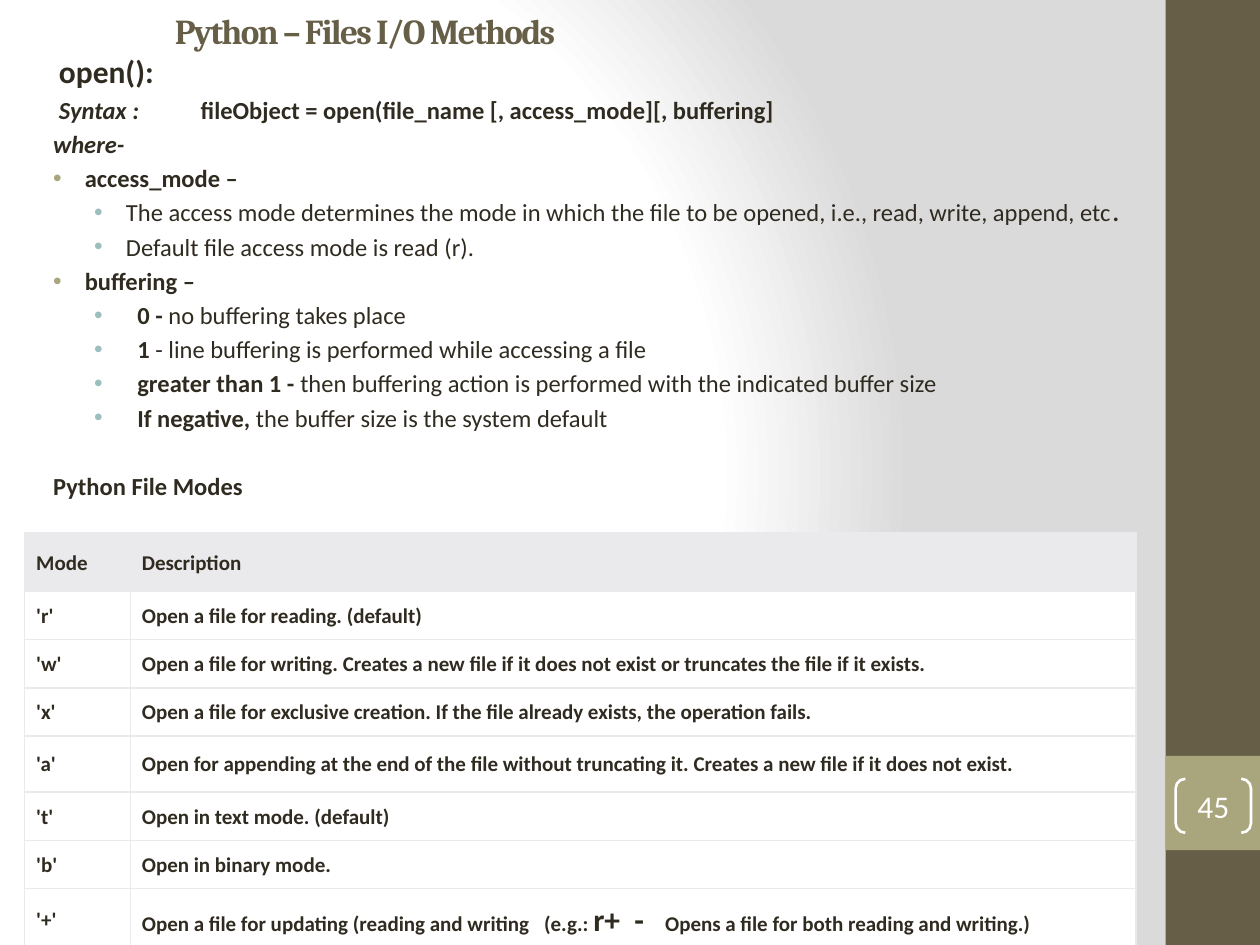
from pptx import Presentation
from pptx.dml.color import RGBColor
from pptx.enum import shapes, text
from pptx.oxml import parse_xml
from pptx.oxml.ns import nsdecls, qn
from pptx.util import Cm, Pt

DARK, OLIVE, TEAL, INK = "675E47", "A9A57C", "9CBEBD", "2F2B20"
WHITE, RULE = "FFFFFF", "EAEAEC"

TITLE = "Python – Files I/O Methods"

# kind of paragraph, then runs of (text, format)
B, I, N = {"bold": True}, {"bold": True, "italic": True}, {}
BODY = [
    ("lead", [("open():", {"bold": True, "size": 18})]),
    ("syntax", [("Syntax :", I), (" ", {"spacing": 32}),
                ("fileObject = open(file_name [, access_mode][, buffering]", B)]),
    ("plain", [("where-", I)]),
    ("item", [("access_mode –", B)]),
    ("sub", [("The access mode determines the mode in which the file to be opened, "
              "i.e., read, write, append, etc", N), (".", B)]),
    ("sub", [("Default file access mode is read (r).", N)]),
    ("item", [("buffering –", B)]),
    ("value", [("0 - ", B), ("no buffering takes place", N)]),
    ("value", [("1 ", B), ("- line buffering is performed while accessing a file", N)]),
    ("value", [("greater than 1 - ", B),
               ("then buffering action is performed with the indicated buffer size", N)]),
    ("value", [("If negative, ", B), ("the buffer size is the system default", N)]),
    ("heading", [("Python File Modes", B)]),
]

# left margin, first-line indent (cm), space before (pt), bullet colour
STYLES = {
    "lead": (0, 0.12, 0, None),
    "syntax": (0, 0.12, 2.75, None),
    "plain": (0, 0, 2.75, None),
    "item": (0.64, -0.64, 2.75, OLIVE),
    "sub": (1.47, -0.64, 2.75, TEAL),
    "value": (1.7, -0.87, 2.75, TEAL),
    "heading": (0, 0, 22.25, None),
}

# row height (cm), mode, description runs
BIG = {"bold": True, "size": 18}
MODES = [
    (1.19, "Mode", [("Description", B)]),
    (0.97, "'r'", [("Open a file for reading. (default)", B)]),
    (0.97, "'w'", [("Open a file for writing. Creates a new file if it does not exist "
                    "or truncates the file if it exists.", B)]),
    (0.97, "'x'", [("Open a file for exclusive creation. If the file already exists, "
                    "the operation fails.", B)]),
    (1.13, "'a'", [("Open for appending at the end of the file without truncating it. "
                    "Creates a new file if it does not exist.", B)]),
    (0.97, "'t'", [("Open in text mode. (default)", B)]),
    (0.97, "'b'", [("Open in binary mode.", B)]),
    (1.27, "'+'", [("Open a file for updating (reading and writing", B),
                   (" ", {"spacing": 5.5}), ("(e.g.: ", B),
                   ("r+", BIG), (" ", {**BIG, "spacing": 4}),
                   ("-", BIG), (" ", {**BIG, "spacing": 8}),
                   ("Opens a file for both reading and writing.)", B)]),
]
COLUMNS = (2.13, 20.27)


def rgb(value):
    return RGBColor.from_string(value)


def add_run(p, words, size=14, bold=False, italic=False, color=INK, font="Calibri",
            spacing=0):
    """Add a run; spacing is the extra character spacing in points."""
    r = p.add_run()
    r.text = words
    f = r.font
    f.name, f.size, f.bold, f.italic = font, Pt(size), bold, italic
    f.color.rgb = rgb(color)
    if spacing:
        r._r.get_or_add_rPr().set("spc", str(round(spacing * 100)))


def set_layout(p, left=0, first=0, bullet=None):
    """Set indents (cm) and bullet colour of a paragraph."""
    pPr = p._p.get_or_add_pPr()
    pPr.set("marL", str(Cm(left)))
    pPr.set("indent", str(Cm(first)))
    ns = nsdecls("a")
    if bullet:
        pPr.append(parse_xml(f'<a:buClr {ns}><a:srgbClr val="{bullet}"/></a:buClr>'))
        pPr.append(parse_xml(f'<a:buFont {ns} typeface="Arial"/>'))
        pPr.append(parse_xml(f'<a:buChar {ns} char="•"/>'))
    else:
        pPr.append(parse_xml(f"<a:buNone {ns}/>"))


def add_shape(s, kind, box, fill=None, line=None):
    sp = s.shapes.add_shape(kind, *map(Cm, box))
    sp.shadow.inherit = False
    if fill:
        sp.fill.solid()
        sp.fill.fore_color.rgb = rgb(fill)
    else:
        sp.fill.background()
    if line:
        sp.line.color.rgb = rgb(line)
        sp.line.width = Pt(1.5)
    else:
        sp.line.fill.background()
    return sp


def set_background(s):
    s.background.fill.solid()
    bgPr = s._element.find(".//" + qn("p:bgPr"))
    stops = "".join(f'<a:gs pos="{pos}000"><a:srgbClr val="{c}"/></a:gs>'
                    for pos, c in ((0, WHITE), (75, WHITE), (100, "DADADA")))
    bgPr.replace(bgPr[0], parse_xml(
        f'<a:gradFill {nsdecls("a")} rotWithShape="1"><a:gsLst>{stops}</a:gsLst>'
        '<a:path path="circle"><a:fillToRect l="20000" t="50000" r="100000" b="50000"/>'
        "</a:path></a:gradFill>"))


def add_title(s):
    sp = s.shapes.title
    sp.left, sp.top, sp.width, sp.height = map(Cm, (1.09, 0.33, 21.16, 0.56))
    tf = sp.text_frame
    tf.auto_size = text.MSO_AUTO_SIZE.NONE
    tf.vertical_anchor = text.MSO_ANCHOR.MIDDLE
    p = tf.paragraphs[0]
    p.alignment = text.PP_ALIGN.LEFT
    set_layout(p, left=2.18)
    add_run(p, TITLE, size=20, bold=True, color=DARK, font="Cambria", spacing=-1)


def add_body(s):
    tf = s.shapes.add_textbox(*map(Cm, (0.51, 0.91, 23.01, 18.14))).text_frame
    tf.word_wrap = True
    tf.margin_left, tf.margin_top = Cm(0.56), Cm(0.14)
    for n, (kind, runs) in enumerate(BODY):
        p = tf.add_paragraph() if n else tf.paragraphs[0]
        left, first, before, bullet = STYLES[kind]
        set_layout(p, left, first, bullet)
        if before:
            p.space_before = Pt(before)
        for words, fmt in runs:
            add_run(p, words, **fmt)


def fill_cell(cell, runs, fill, pad):
    tcPr = cell._tc.get_or_add_tcPr()
    for side in "LRTB":
        tcPr.append(parse_xml(
            f'<a:ln{side} {nsdecls("a")} w="{Pt(0.75)}"><a:solidFill>'
            f'<a:srgbClr val="{RULE}"/></a:solidFill></a:ln{side}>'))
    cell.fill.solid()
    cell.fill.fore_color.rgb = rgb(fill)
    cell.vertical_anchor = text.MSO_ANCHOR.MIDDLE
    cell.margin_left, cell.margin_right = Cm(0.23), Cm(0.18)
    cell.margin_top, cell.margin_bottom = Cm(pad), Cm(pad - 0.03)
    p = cell.text_frame.paragraphs[0]
    for words, fmt in runs:
        add_run(p, words, **{"size": 12, **fmt})


def add_modes(s):
    height = sum(row[0] for row in MODES)
    box = (0.5, 10.73, sum(COLUMNS), height)
    table = s.shapes.add_table(len(MODES), len(COLUMNS), *map(Cm, box)).table
    table.horz_banding = False
    for column, width in zip(table.columns, COLUMNS):
        column.width = Cm(width)
    for n, (row_height, mode, description) in enumerate(MODES):
        table.rows[n].height = Cm(row_height)
        fill, pad = (WHITE, 0.23) if n else (RULE, 0.36)
        for cell, runs in zip(table.rows[n].cells, ([(mode, B)], description)):
            fill_cell(cell, runs, fill, pad)


def add_page_number(s):
    sp = add_shape(s, shapes.MSO_SHAPE.DOUBLE_BRACKET, (23.7, 15.7, 1.52, 1.09), line=WHITE)
    sp.adjustments[0] = 0.18
    tf = sp.text_frame
    tf.margin_left = tf.margin_right = tf.margin_top = tf.margin_bottom = 0
    tf.vertical_anchor = text.MSO_ANCHOR.MIDDLE
    p = tf.paragraphs[0]
    p.alignment = text.PP_ALIGN.CENTER
    add_run(p, "45", size=18, color=WHITE)


def main():
    prs = Presentation()
    prs.slide_width, prs.slide_height = Cm(25.4), Cm(19.05)
    s = prs.slides.add_slide(prs.slide_layouts[5])
    set_background(s)
    for top, height, color in ((0, 19.05, DARK), (15.24, 1.9, OLIVE)):
        add_shape(s, shapes.MSO_SHAPE.RECTANGLE, (23.5, top, 1.9, height), fill=color)
    add_title(s)
    add_body(s)
    add_page_number(s)
    add_modes(s)
    prs.save("out.pptx")


if __name__ == "__main__":
    main()
